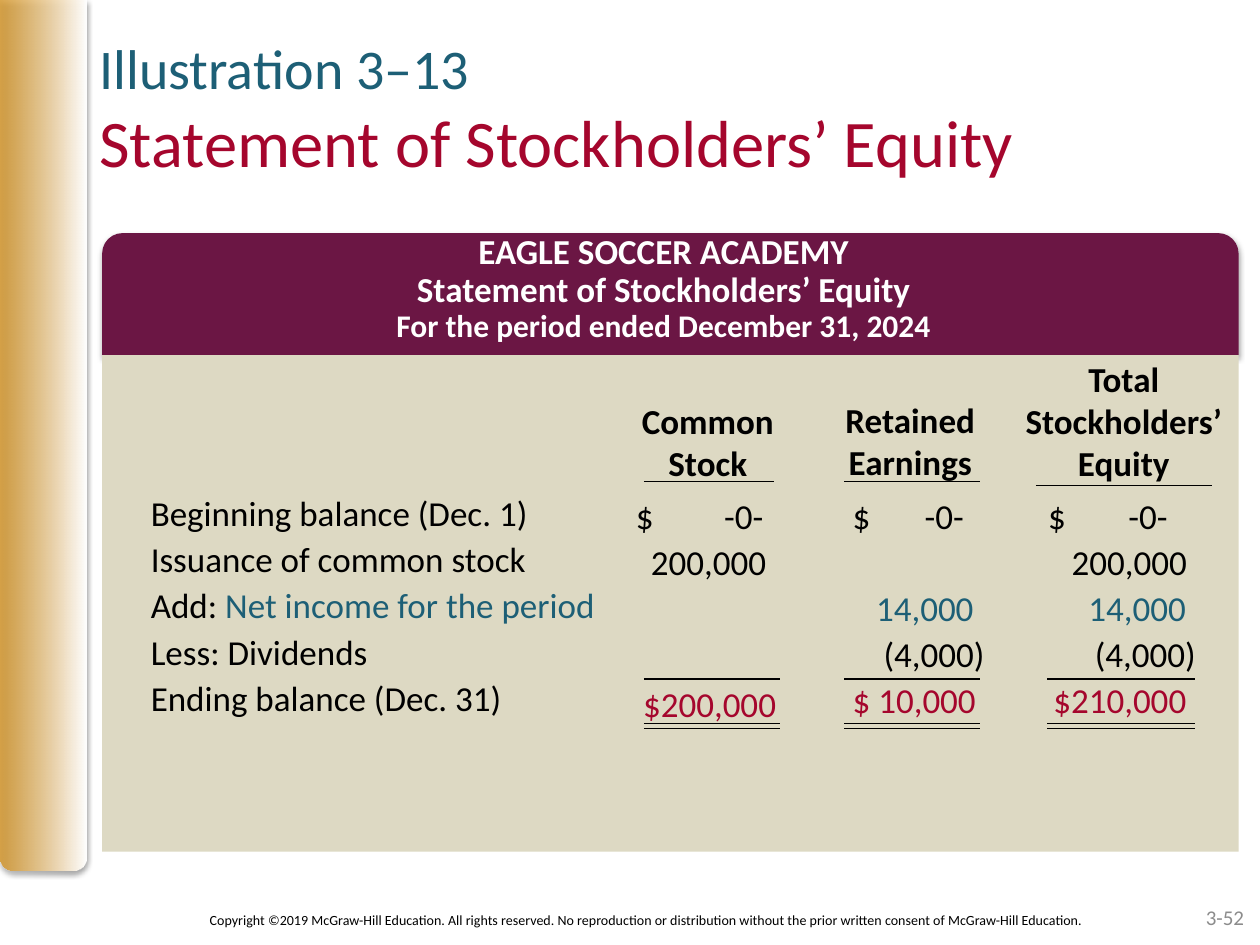
from lxml import etree
from pptx import Presentation
from pptx.dml.color import RGBColor
from pptx.enum.shapes import MSO_CONNECTOR, MSO_SHAPE
from pptx.enum.text import MSO_ANCHOR, PP_ALIGN
from pptx.oxml.ns import qn
from pptx.util import Cm, Pt

LEFT, CENTER, RIGHT = PP_ALIGN.LEFT, PP_ALIGN.CENTER, PP_ALIGN.RIGHT
TOP, MIDDLE = MSO_ANCHOR.TOP, MSO_ANCHOR.MIDDLE
ROUNDED, RECTANGLE = MSO_SHAPE.ROUND_2_SAME_RECTANGLE, MSO_SHAPE.RECTANGLE
STRAIGHT = MSO_CONNECTOR.STRAIGHT

THEME = {
    "font": "Calibri",
    "teal": "1D5F76", "red": "A5062D", "plum": "6B1644", "sand": "DDD9C3",
    "gold": "D49323", "white": "FFFFFF", "black": "000000", "gray": "8C8C8C",
    "kicker": 32, "title": 38, "body": 20, "period": 18, "number": 12, "copyright": 8,
    "rule": 0.75, "body_spacing": 1.1, "band_spacing": 0.9,
}

TITLE = [("Illustration 3–13", "kicker", "teal"),
         ("Statement of Stockholders’ Equity", "title", "red")]
BAND_LINES = [("EAGLE SOCCER ACADEMY", "body"),
              ("Statement of Stockholders’ Equity", "body"),
              ("For the period ended December 31, 2024", "period")]
ROW_LABELS = [
    [("Beginning balance (Dec. 1)", "black")],
    [("Issuance of common stock", "black")],
    [("Add: ", "black"), ("Net income for the period", "teal")],
    [("Less: Dividends", "black")],
    [("Ending balance (Dec. 31)", "black")],
]
COLUMN_HEADS = [
    ((12.67, 7.92, 3.2, 2.82), ["Common", "Stock"]),
    ((16.61, 7.9, 3.48, 2.74), ["Retained", "Earnings"]),
    ((20.42, 7.09, 4.47, 3.58), ["Total", "Stockholders’", "Equity"]),
]
# text, colour, right tab stop in cm, space before in points
AMOUNT_COLUMNS = [
    ((12.57, 9.75, 3.86, 5.77), [
        ("$\t-0-", "black", 2.57, 0), ("\t200,000", "black", 2.63, 0),
        ("\t$200,000", "red", 2.83, 55)]),
    ((16.94, 9.75, 3.45, 5.64), [
        ("$\t-0-", "black", 2.24, 0), ("\t14,000", "teal", 2.44, 26.4),
        ("\t(4,000)", "black", 2.66, 0), ("\t$ 10,000", "red", 2.46, 0)]),
    ((20.88, 9.75, 3.58, 4.7), [
        ("$\t-0-", "black", 2.41, 0), ("\t200,000", "black", 2.8, 0),
        ("\t14,000", "teal", 2.78, 0), ("\t(4,000)", "black", 2.98, 0)]),
    ((20.83, 13.56, 3.68, 1.12), [("\t$210,000", "red", 2.84, 0)]),
]
HEAD_RULES = [(12.98, 15.6, 9.71), (17.02, 19.76, 9.71), (20.88, 24.43, 9.78)]
TOTAL_SPANS = [(12.98, 15.72), (17.02, 19.76), (21.11, 24.08)]
TOTAL_HEIGHTS = [13.69, 14.58, 14.68]
COPYRIGHT = ("Copyright ©2019 McGraw-Hill Education. All rights reserved. No reproduction or "
             "distribution without the prior written consent of McGraw-Hill Education.")


def color(name):
    return RGBColor.from_string(THEME[name])


def box_lengths(box):
    return [Cm(value) for value in box]


def add_run(paragraph, text, size, color_name, bold=False):
    run = paragraph.add_run()
    run.text = text
    run.font.name = THEME["font"]
    run.font.size = Pt(THEME[size])
    run.font.bold = bold
    run.font.color.rgb = color(color_name)


def add_tab(paragraph, position):
    tabs = etree.SubElement(paragraph._p.get_or_add_pPr(), qn("a:tabLst"))
    etree.SubElement(tabs, qn("a:tab"), pos=str(int(Cm(position))), algn="r")


def add_text(slide, box, lines, align=LEFT, spacing=1.0, anchor=TOP, inset=0.25):
    frame = slide.shapes.add_textbox(*box_lengths(box)).text_frame
    frame.word_wrap = True
    frame.vertical_anchor = anchor
    frame.margin_left = frame.margin_right = Cm(inset)
    for index, runs in enumerate(lines):
        paragraph = frame.paragraphs[0] if index == 0 else frame.add_paragraph()
        paragraph.alignment = align
        paragraph.line_spacing = spacing
        for run in runs:
            add_run(paragraph, *run)
    return frame


def add_panel(slide, kind, box, fill_name):
    shape = slide.shapes.add_shape(kind, *box_lengths(box))
    shape.fill.solid()
    shape.fill.fore_color.rgb = color(fill_name)
    shape.line.fill.background()
    shape.shadow.inherit = False
    return shape


def add_shadow(shape):
    effects = shape._element.spPr.find(qn("a:effectLst"))
    shadow = etree.SubElement(effects, qn("a:outerShdw"), blurRad=str(Pt(3.1)),
                              dist=str(Pt(1.8)), dir="5400000", rotWithShape="0")
    shade = etree.SubElement(shadow, qn("a:srgbClr"), val=THEME["black"])
    etree.SubElement(shade, qn("a:alpha"), val="35000")


def add_side_bar(slide):
    bar = add_panel(slide, ROUNDED, (0, 0, 1.75, 17.55), "gold")
    bar.fill.gradient()
    bar.fill.gradient_angle = 0
    for stop, name in zip(bar.fill.gradient_stops, ["gold", "white"]):
        stop.color.rgb = color(name)
    first_color = bar._element.spPr.find(".//" + qn("a:gs")).find(qn("a:srgbClr"))
    etree.SubElement(first_color, qn("a:alpha"), val="80000")
    bar._element.spPr.find(qn("a:xfrm")).set("flipV", "1")
    add_shadow(bar)


def add_rule(slide, start, end, height):
    rule = slide.shapes.add_connector(STRAIGHT, Cm(start), Cm(height), Cm(end), Cm(height))
    rule.line.color.rgb = color("black")
    rule.line.width = Pt(THEME["rule"])
    etree.SubElement(rule._element.spPr, qn("a:effectLst"))


def add_title(slide):
    title = slide.shapes.title
    title.left, title.top, title.width, title.height = box_lengths((1.75, 0.38, 22.86, 3.56))
    title.text_frame.vertical_anchor = MIDDLE
    paragraph = title.text_frame.paragraphs[0]
    paragraph.alignment = LEFT
    for index, line in enumerate(TITLE):
        if index:
            paragraph.add_line_break()
        add_run(paragraph, *line)


def add_statement(slide):
    add_shadow(add_panel(slide, ROUNDED, (2.06, 4.7, 22.91, 2.46), "plum"))
    add_panel(slide, RECTANGLE, (2.06, 7.16, 22.91, 10.01), "sand")
    add_text(slide, (7.54, 4.6, 11.68, 2.49),
             [[(text, size, "white", True)] for text, size in BAND_LINES],
             CENTER, THEME["band_spacing"])
    add_text(slide, (2.79, 9.7, 9.86, 5.66),
             [[(text, "body", name) for text, name in runs] for runs in ROW_LABELS],
             spacing=THEME["body_spacing"])
    for box, rows in AMOUNT_COLUMNS:
        spacing = THEME["body_spacing"] if len(rows) > 1 else 1.0
        frame = add_text(slide, box, [[(row[0], "body", row[1])] for row in rows],
                         spacing=spacing)
        for paragraph, (_, _, stop, gap) in zip(frame.paragraphs, rows):
            add_tab(paragraph, stop)
            if gap:
                paragraph.space_before = Pt(gap)
    for box, lines in COLUMN_HEADS:
        add_text(slide, box, [[(text, "body", "black", True)] for text in lines],
                 CENTER, inset=0.1)
    for rule in HEAD_RULES:
        add_rule(slide, *rule)
    for start, end in TOTAL_SPANS:
        for height in TOTAL_HEIGHTS:
            add_rule(slide, start, end, height)


def main():
    presentation = Presentation()
    presentation.slide_width, presentation.slide_height = Cm(25.4), Cm(19.05)
    slide = presentation.slides.add_slide(presentation.slide_layouts[5])
    add_statement(slide)
    add_title(slide)
    add_side_bar(slide)
    add_text(slide, (19.41, 17.98, 5.92, 1.02), [[("3-52", "number", "gray")]],
             RIGHT, anchor=MIDDLE)
    add_text(slide, (3.96, 18.03, 18.16, 1.02), [[(COPYRIGHT, "copyright", "black")]],
             CENTER, anchor=MIDDLE)
    presentation.save("out.pptx")


if __name__ == "__main__":
    main()
